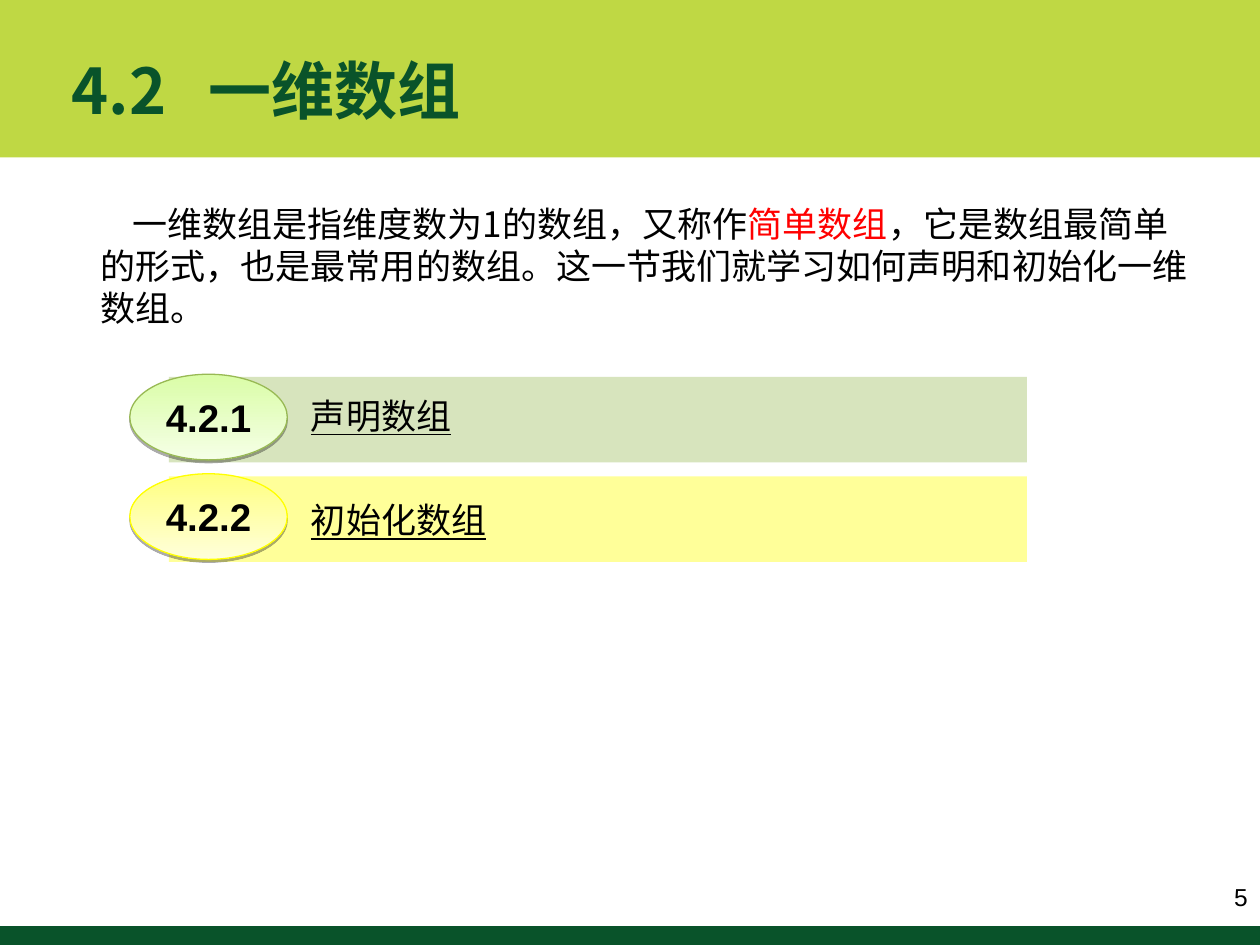
from dataclasses import dataclass

from lxml.etree import SubElement
from pptx import Presentation
from pptx.dml.color import RGBColor
from pptx.enum.shapes import MSO_SHAPE
from pptx.enum.text import MSO_ANCHOR, PP_ALIGN
from pptx.oxml.ns import qn
from pptx.shapes.autoshape import Shape
from pptx.slide import Slide
from pptx.text.text import TextFrame, _Paragraph
from pptx.util import Pt

COLORS = {
    "lime": "BFD844",
    "forest": "09532A",
    "black": "000000",
    "red": "FF0000",
    "sage": "D7E4BD",
    "sage_line": "98B954",
    "sage_top": "DAFDA7",
    "sage_bottom": "F5FFE6",
    "yellow": "FFFF99",
    "yellow_line": "FFFF00",
    "yellow_top": "FFFF80",
    "yellow_bottom": "FFFFDA",
}
CHINESE_FONT = "Noto Sans CJK SC"
LATIN_FONT = "Arial"
ROW_TOP = 213.84
ROW_PITCH = 56.88


@dataclass(frozen=True)
class Box:
    left: float
    top: float
    width: float
    height: float

    def lengths(self) -> tuple[Pt, Pt, Pt, Pt]:
        return Pt(self.left), Pt(self.top), Pt(self.width), Pt(self.height)


@dataclass(frozen=True)
class Section:
    number: str
    title: str
    palette: str
    title_top: float


SECTIONS = (
    Section("4.2.1", "声明数组", "sage", 221.76),
    Section("4.2.2", "初始化数组", "yellow", 281.52),
)


def rgb(name: str) -> RGBColor:
    return RGBColor.from_string(COLORS[name])


def style(paragraph: _Paragraph, size: float, color: str = "black",
          name: str = CHINESE_FONT, bold: bool = False, underline: bool = False) -> None:
    font = paragraph.font
    font.size, font.name, font.bold, font.underline = Pt(size), name, bold, underline
    font.color.rgb = rgb(color)
    defaults = paragraph._p.pPr.find(qn("a:defRPr"))
    SubElement(defaults, qn("a:ea")).set("typeface", name)


def add_text_frame(slide: Slide, box: Box, anchor: MSO_ANCHOR = MSO_ANCHOR.TOP) -> TextFrame:
    frame = slide.shapes.add_textbox(*box.lengths()).text_frame
    frame.word_wrap = True
    frame.vertical_anchor = anchor
    return frame


def add_bar(shapes, box: Box, color: str) -> None:
    bar = shapes.add_shape(MSO_SHAPE.RECTANGLE, *box.lengths())
    bar.shadow.inherit = False
    bar.fill.solid()
    bar.fill.fore_color.rgb = rgb(color)
    bar.line.fill.background()


def add_drop_shadow(shape: Shape) -> None:
    shape.shadow.inherit = False
    effects = shape._element.spPr.find(qn("a:effectLst"))
    shadow = SubElement(effects, qn("a:outerShdw"), blurRad="0", dist=str(Pt(1.6)),
                        dir="5400000", rotWithShape="0")
    color = SubElement(shadow, qn("a:srgbClr"), val=COLORS["black"])
    SubElement(color, qn("a:alpha"), val="33000")


def add_badge(shapes, box: Box, section: Section) -> None:
    badge = shapes.add_shape(MSO_SHAPE.OVAL, *box.lengths())
    add_drop_shadow(badge)
    badge.fill.gradient()
    badge.fill.gradient_angle = 270
    for stop, end in zip(badge.fill.gradient_stops, ("top", "bottom")):
        stop.color.rgb = rgb(f"{section.palette}_{end}")
    badge.line.color.rgb = rgb(f"{section.palette}_line")
    badge.line.width = Pt(0.75)
    badge.text_frame.vertical_anchor = MSO_ANCHOR.MIDDLE
    paragraph = badge.text_frame.paragraphs[0]
    paragraph.text = section.number
    paragraph.alignment = PP_ALIGN.CENTER
    style(paragraph, 22, name=LATIN_FONT, bold=True)


def add_section(slide: Slide, section: Section, top: float) -> None:
    group = slide.shapes.add_group_shape()
    add_bar(group.shapes, Box(96.48, top + 1.44, 490.32, 48.96), section.palette)
    add_badge(group.shapes, Box(74.16, top, 90, 48.96), section)
    title = add_text_frame(slide, Box(170.64, section.title_top, 247.68, 31.68)).paragraphs[0]
    title.text = section.title
    style(title, 20, underline=True)


def add_title(slide: Slide) -> None:
    title = add_text_frame(slide, Box(33.84, 16.56, 489.6, 68.4), MSO_ANCHOR.MIDDLE).paragraphs[0]
    title.text = "4.2\t一维数组"
    tabs = SubElement(title._p.get_or_add_pPr(), qn("a:tabLst"))
    SubElement(tabs, qn("a:tab"), pos=str(Pt(78)), algn="l")
    style(title, 36, "forest", bold=True)


def add_introduction(slide: Slide) -> None:
    paragraph = add_text_frame(slide, Box(50.4, 112.32, 635.76, 79.2)).paragraphs[0]
    paragraph._p.get_or_add_pPr().set("indent", str(Pt(18)))
    for text, color in (
        ("一维数组是指维度数为1的数组，又称作", "black"),
        ("简单数组", "red"),
        ("，它是数组最简单的形式，也是最常用的数组。这一节我们就学习如何声明和初始化一维数组。", "black"),
    ):
        run = paragraph.add_run()
        run.text = text
        run.font.color.rgb = rgb(color)
    style(paragraph, 20)


def add_page_number(slide: Slide) -> None:
    number = add_text_frame(slide, Box(663.84, 495.36, 56.16, 33.84), MSO_ANCHOR.MIDDLE).paragraphs[0]
    number.text = "5"
    number.alignment = PP_ALIGN.RIGHT
    style(number, 14, name=LATIN_FONT)


def main() -> None:
    """Build the section overview slide on one-dimensional arrays."""
    presentation = Presentation()
    presentation.slide_width, presentation.slide_height = Pt(720), Pt(540)
    slide = presentation.slides.add_slide(presentation.slide_layouts[6])
    add_bar(slide.shapes, Box(0, 0, 720, 90), "lime")
    add_bar(slide.shapes, Box(0, 529.2, 720, 10.8), "forest")
    add_title(slide)
    add_introduction(slide)
    for index, section in enumerate(SECTIONS):
        add_section(slide, section, ROW_TOP + index * ROW_PITCH)
    add_page_number(slide)
    presentation.save("out.pptx")


if __name__ == "__main__":
    main()
